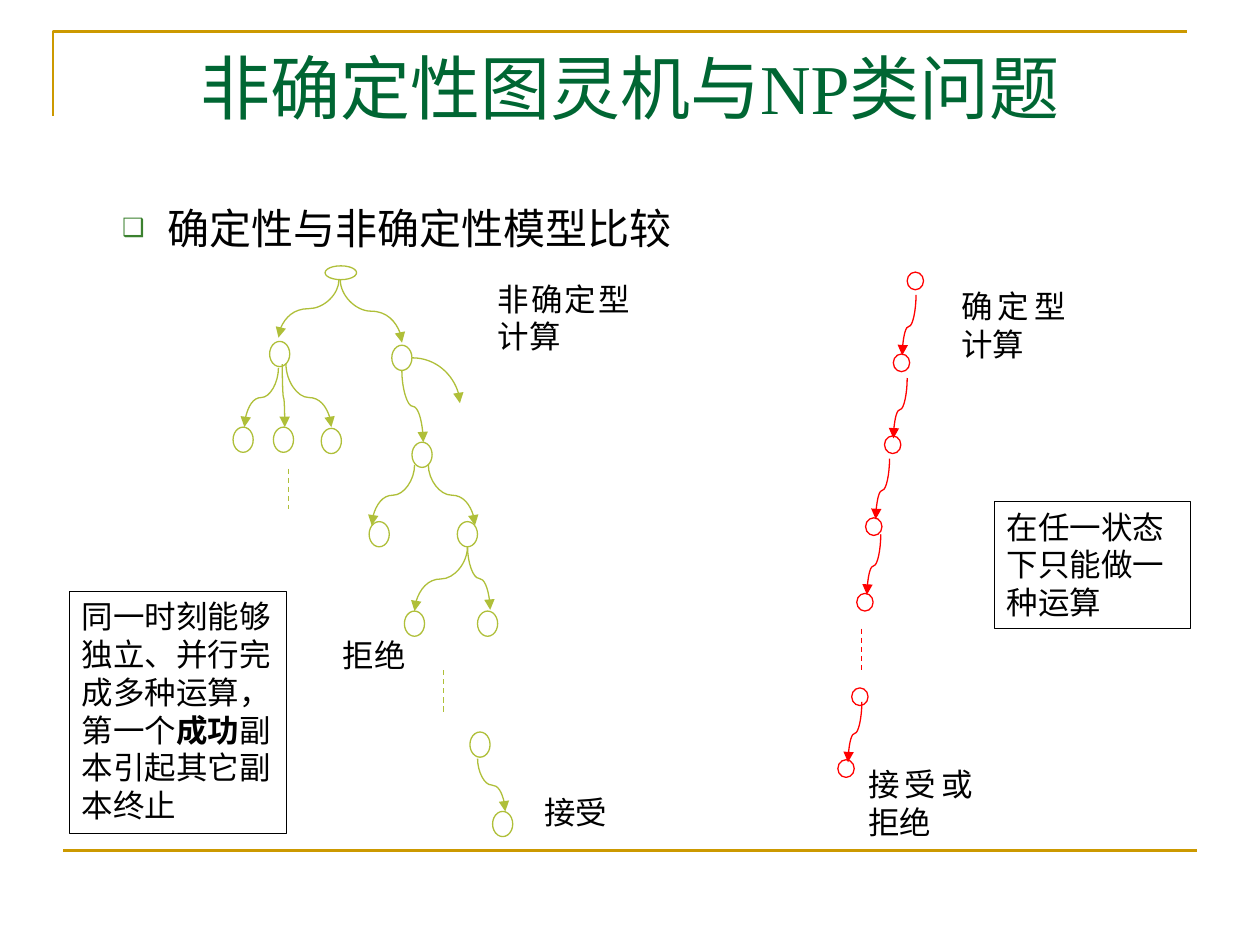
"""Build a slide comparing nondeterministic and deterministic computation."""
import pptx
import pptx.util
import pptx.dml.color
import pptx.enum.dml
import pptx.enum.shapes
import pptx.enum.text
import pptx.oxml
import lxml.etree

Inches, Pt = pptx.util.Inches, pptx.util.Pt
SHAPE = pptx.enum.shapes.MSO_SHAPE
LINK = pptx.enum.shapes.MSO_CONNECTOR
ALIGN = pptx.enum.text.PP_ALIGN
FIT = pptx.enum.text.MSO_AUTO_SIZE
TOP = pptx.enum.text.MSO_ANCHOR.TOP
NS = pptx.oxml.ns.qn

GOLD, DARK, LIME, RED, BLACK = "CC9900", "006633", "AFBF39", "FF0000", "000000"
SERIF, SANS = "Times New Roman", "Arial"

TITLE = "非确定性图灵机与NP类问题"
POINT = "确定性与非确定性模型比较"
FRAME = [(0.42, 0.92), (0.42, 0.25), (9.42, 0.25)]

TREE = {
    "color": LIME,
    "size": (0.16, 0.2),
    "nodes": [(2.14, 2.71), (3.11, 2.74), (1.85, 3.39), (2.17, 3.39), (2.55, 3.4),
              (3.27, 3.51), (2.93, 4.14), (3.63, 4.14), (3.21, 4.85), (3.79, 4.85),
              (3.73, 5.81), (3.91, 6.44)],
    "curves": [(2.69, 2.22, 2.21, 2.68, 0.5), (2.7, 2.22, 3.19, 2.72, 0.5),
               (2.21, 2.92, 1.94, 3.39, 0.5), (2.24, 2.89, 2.26, 3.39, 0.53),
               (2.27, 2.89, 2.63, 3.39, 0.53), (3.19, 2.94, 3.36, 3.51, 0.5),
               (3.29, 3.69, 2.95, 4.17, 0.5), (3.4, 3.69, 3.77, 4.17, 0.5),
               (3.71, 4.34, 3.29, 4.85, 0.5), (3.71, 4.34, 3.89, 4.84, 0.5),
               (3.79, 6.02, 4.01, 6.44, 0.5)],
    "dashes": [(3.52, 5.32, 5.66), (2.29, 3.72, 4.04)],
    "labels": [("拒绝", 2.72, 5.05, 0.52, 0.27), ("接受", 4.32, 6.29, 0.52, 0.27),
               ("非确定型计算", 3.95, 2.22, 1.05, 0.6)],
}
STARTS = [(7.27, 2.34), (7.2, 3), (7.06, 3.64), (6.99, 4.24), (6.84, 5.57)]
CHAIN = {
    "color": RED,
    "size": (0.13, 0.14),
    "nodes": [(7.2, 2.16), (7.09, 2.81), (7.02, 3.46), (6.87, 4.11), (6.8, 4.71),
              (6.76, 5.46), (6.65, 6.03)],
    "curves": [(x, y, x - 0.11, y + 0.48, 0.52) for x, y in STARTS],
    "dashes": [(6.84, 4.99, 5.32)],
    "labels": [("接受或拒绝", 6.89, 6.07, 0.83, 0.58),
               ("确定型计算", 7.63, 2.28, 0.83, 0.58)],
}
ROOT = (2.58, 2.11, 0.25, 0.11)
SPROUT = (3.27, 2.84, 3.65, 3.2)
NOTES = [
    ((7.89, 3.98, 1.56, 1.01), [("在任一状态下只能做一种运算", False)]),
    ((0.55, 4.69, 1.72, 1.92), [("同一时刻能够独立、并行完成多种运算，第一个", False),
                                ("成功", True), ("副本引起其它副本终止", False)]),
]


def tint(code):
    return pptx.dml.color.RGBColor.from_string(code)


def inch(*nums):
    return [Inches(num) for num in nums]


def stroke(item, color, width):
    item.line.color.rgb = tint(color)
    item.line.width = Pt(width)


def write(para, text, size, font, color, bold=None):
    run = para.add_run()
    run.text = text
    run.font.size, run.font.name, run.font.bold = Pt(size), font, bold
    run.font.color.rgb = tint(color)


def outline(shapes, kind, box, color, width):
    shape = shapes.add_shape(kind, *inch(*box))
    shape.shadow.inherit = False
    shape.fill.background()
    stroke(shape, color, width)
    return shape


def link(shapes, kind, ends, color, width, head=False):
    line = shapes.add_connector(kind, *inch(*ends))
    stroke(line, color, width)
    if head:
        tail = lxml.etree.SubElement(line.line._get_or_add_ln(), NS("a:tailEnd"))
        tail.set("type", "triangle")
    lxml.etree.SubElement(line.element.spPr, NS("a:effectLst"))
    return line


def drop(shapes, x1, y1, x2, y2, bend, color):
    """Draw a curved arrow that leaves and arrives vertically."""
    long, wide = y2 - y1, abs(x2 - x1)
    left, top = (x1 + x2 - long) / 2, (y1 + y2 - wide) / 2
    line = link(shapes, LINK.CURVE, (left, top, left + long, top + wide), color, 0.75, True)
    frame = line.element.spPr.find(NS("a:xfrm"))
    frame.set("rot", str((270 if x2 > x1 else 90) * 60000))
    if x2 > x1:
        frame.set("flipH", "1")
    guides = line.element.spPr.find(NS("a:prstGeom")).find(NS("a:avLst"))
    guide = lxml.etree.SubElement(guides, NS("a:gd"))
    guide.set("name", "adj1")
    guide.set("fmla", f"val {round(bend * 100000)}")


def graph(slide, data):
    shapes, color = slide.shapes.add_group_shape().shapes, data["color"]
    for node in data["nodes"]:
        outline(shapes, SHAPE.OVAL, node + data["size"], color, 0.75)
    for curve in data["curves"]:
        drop(shapes, *curve, color)
    for x, y1, y2 in data["dashes"]:
        dash = link(shapes, LINK.STRAIGHT, (x, y1, x, y2), color, 0.75)
        dash.line.dash_style = pptx.enum.dml.MSO_LINE.DASH
    for text, *box in data["labels"]:
        frame = shapes.add_textbox(*inch(*box)).text_frame
        frame.word_wrap = True
        frame.margin_left = frame.margin_right = frame.margin_top = frame.margin_bottom = 0
        frame.paragraphs[0].alignment = ALIGN.JUSTIFY
        write(frame.paragraphs[0], text, 18, SERIF, BLACK)
    return shapes


def place(holder, box):
    holder.left, holder.top, holder.width, holder.height = inch(*box)
    frame = holder.text_frame
    frame.word_wrap, frame.auto_size, frame.vertical_anchor = True, FIT.NONE, TOP
    return frame.paragraphs[0]


def bullet(para):
    props = para._p.get_or_add_pPr()
    props.set("marL", str(Inches(0.73)))
    props.set("indent", str(Inches(-0.36)))
    hue = lxml.etree.SubElement(props, NS("a:buClr"))
    lxml.etree.SubElement(hue, NS("a:srgbClr")).set("val", "3B812F")
    lxml.etree.SubElement(props, NS("a:buSzPct")).set("val", "60000")
    lxml.etree.SubElement(props, NS("a:buChar")).set("char", "❑")


def main():
    deck = pptx.Presentation()
    deck.slide_width, deck.slide_height = inch(10, 7.5)
    slide = deck.slides.add_slide(deck.slide_layouts[1])
    shapes = slide.shapes

    path = shapes.build_freeform(*inch(*FRAME[0]), scale=1.0)
    path.add_line_segments([inch(*spot) for spot in FRAME[1:]], close=False)
    border = path.convert_to_shape()
    border.shadow.inherit = False
    border.fill.background()
    stroke(border, GOLD, 1.5)
    link(shapes, LINK.STRAIGHT, (0.5, 6.75, 9.5, 6.75), GOLD, 1.5)

    head = place(shapes.title, (0.5, 0.3, 9, 1.25))
    head.alignment = ALIGN.CENTER
    write(head, TITLE, 40, SERIF, DARK)
    para = place(slide.placeholders[1], (0.5, 1.56, 9, 0.59))
    para.level, para.space_before = 1, Pt(4.8)
    bullet(para)
    write(para, POINT, 24, SANS, BLACK)

    tree = graph(slide, TREE)
    outline(tree, SHAPE.OVAL, ROOT, LIME, 0.75)
    sprout = link(tree, LINK.CURVE, SPROUT, LIME, 0.75, True)
    sprout.element.spPr.find(NS("a:prstGeom")).set("prst", "curvedConnector2")
    graph(slide, CHAIN)

    for box, runs in NOTES:
        frame = outline(shapes, SHAPE.RECTANGLE, box, BLACK, 0.25).text_frame
        frame.word_wrap, frame.auto_size, frame.vertical_anchor = True, FIT.SHAPE_TO_FIT_TEXT, TOP
        frame.paragraphs[0].alignment = ALIGN.LEFT
        for text, bold in runs:
            write(frame.paragraphs[0], text, 18, SANS, BLACK, bold)

    deck.save("out.pptx")


if __name__ == "__main__":
    main()
